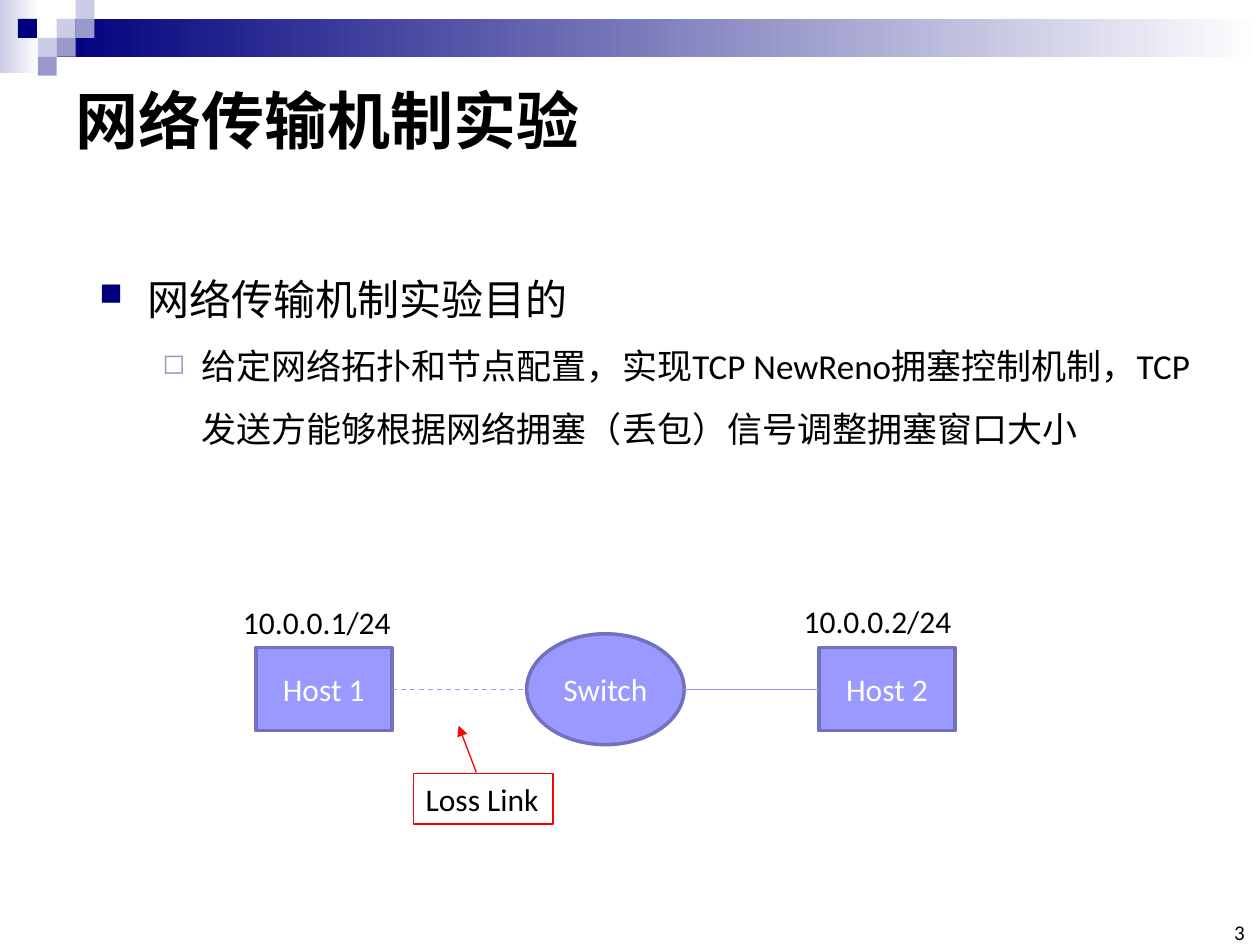
from lxml.etree import SubElement
from pptx import Presentation
from pptx.dml.color import RGBColor
from pptx.enum.dml import MSO_LINE
from pptx.enum.shapes import MSO_CONNECTOR, MSO_SHAPE
from pptx.enum.text import MSO_ANCHOR, PP_ALIGN
from pptx.oxml.ns import qn
from pptx.util import Inches, Pt

FONT = "Calibri"
COLORS = {
    "navy": "00007D", "mid": "9999CC", "pale": "CCCCE6", "white": "FFFFFF",
    "black": "000000", "node": "9999FF", "edge": "7171BD", "link": "9393FC",
    "red": "FF0000",
}

TITLE = "网络传输机制实验"
# text, level, size, hanging indent (left, first), bullet (char, color, percent)
BODY = [
    ("网络传输机制实验目的", 0, 24, (0.38, -0.38), ("■", "navy", 75)),
    ("给定网络拓扑和节点配置，实现TCP NewReno拥塞控制机制，"
     "TCP发送方能够根据网络拥塞（丢包）信号调整拥塞窗口大小",
     1, 20, (0.81, -0.31), ("◻", "mid", 80)),
]
GRADIENT_BARS = [((0, 0, 0.31, 0.58), "pale"), ((0.45, 0.15, 9.55, 0.3), "navy")]
TILE = 0.15
TILES = [  # column, row, color
    (3, 1, "pale"), (4, 0, "pale"), (4, 1, "mid"), (2, 2, "pale"),
    (0.95, 1, "navy"), (3, 2, "mid"), (2, 3, "mid"),
]
AXIS_Y = 5.47
NODES = [  # label, preset, left, width, height
    ("Host 1", MSO_SHAPE.RECTANGLE, 2.03, 1.08, 0.66),
    ("Switch", MSO_SHAPE.OVAL, 4.18, 1.25, 0.88),
    ("Host 2", MSO_SHAPE.RECTANGLE, 6.5, 1.08, 0.66),
]
ADDRESSES = [("10.0.0.1/24", 1.83, 4.74), ("10.0.0.2/24", 6.28, 4.73)]

prs = Presentation()
prs.slide_width, prs.slide_height = Inches(10), Inches(7.5)
s = prs.slides.add_slide(prs.slide_layouts[6])


def rgb(name):
    return RGBColor.from_string(COLORS[name])


def add_run(p, text, size, color="black", bold=False):
    r = p.add_run()
    r.text = text
    r.font.name, r.font.size, r.font.bold = FONT, Pt(size), bold
    r.font.color.rgb = rgb(color)


def add_shape(preset, box, fill=None, line=None, width=0.75):
    sp = s.shapes.add_shape(preset, *map(Inches, box))
    sp.shadow.inherit = False
    if fill:
        sp.fill.solid()
        sp.fill.fore_color.rgb = rgb(fill)
    else:
        sp.fill.background()
    if line:
        sp.line.color.rgb = rgb(line)
        sp.line.width = Pt(width)
    else:
        sp.line.fill.background()
    return sp


def add_text(box, wrap=True, anchor=MSO_ANCHOR.TOP):
    tf = s.shapes.add_textbox(*map(Inches, box)).text_frame
    tf.word_wrap, tf.vertical_anchor = wrap, anchor
    return tf


def add_line(start, end, color):
    cxn = s.shapes.add_connector(MSO_CONNECTOR.STRAIGHT, *map(Inches, start + end))
    cxn.line.color.rgb = rgb(color)
    cxn.line.width = Pt(0.75)
    SubElement(cxn._element.spPr, qn("a:effectLst"))
    return cxn


def set_bullet(p, indent, char, color, percent):
    pPr = p._p.get_or_add_pPr()
    pPr.set("marL", str(Inches(indent[0])))
    pPr.set("indent", str(Inches(indent[1])))
    SubElement(SubElement(pPr, qn("a:buClr")), qn("a:srgbClr"), val=COLORS[color])
    SubElement(pPr, qn("a:buSzPct"), val=str(percent * 1000))
    SubElement(pPr, qn("a:buChar"), char=char)


# Header decoration
for box, color in GRADIENT_BARS:
    bar = add_shape(MSO_SHAPE.RECTANGLE, box)
    bar.fill.gradient()
    bar.fill.gradient_angle = 0
    for stop, name, position in zip(bar.fill.gradient_stops, (color, "white"), (0, 1)):
        stop.color.rgb = rgb(name)
        stop.position = position
for col, row, color in TILES:
    add_shape(MSO_SHAPE.RECTANGLE, (col * TILE, row * TILE, TILE, TILE), color)

# Title and body
tf = add_text((0.5, 0.5, 9, 0.89), anchor=MSO_ANCHOR.MIDDLE)
add_run(tf.paragraphs[0], TITLE, 36, bold=True)

tf = add_text((0.69, 1.92, 8.97, 1.94))
for i, (text, level, size, indent, bullet) in enumerate(BODY):
    p = tf.add_paragraph() if i else tf.paragraphs[0]
    p.level, p.line_spacing = level, 1.5
    set_bullet(p, indent, *bullet)
    add_run(p, text, size)

# Network topology
nodes = {}
for label, preset, left, width, height in NODES:
    box = (left, AXIS_Y - height / 2, width, height)
    sp = nodes[label] = add_shape(preset, box, "node", "edge", 2)
    tf = sp.text_frame
    tf.vertical_anchor = MSO_ANCHOR.MIDDLE
    tf.paragraphs[0].alignment = PP_ALIGN.CENTER
    add_run(tf.paragraphs[0], label, 18, "white")

for address, left, top in ADDRESSES:
    tf = add_text((left, top, 1.39, 0.4), wrap=False)
    add_run(tf.paragraphs[0], address, 18)

lossy = add_line((3.11, AXIS_Y), (4.18, AXIS_Y), "node")
lossy.line.dash_style = MSO_LINE.DASH
lossy.begin_connect(nodes["Host 1"], 3)
link = add_line((5.43, AXIS_Y), (6.5, AXIS_Y), "link")
link.end_connect(nodes["Host 2"], 1)

# Callout for the lossy link
arrow = add_line((3.78, 6.13), (3.64, 5.76), "red")
SubElement(arrow.line._get_or_add_ln(), qn("a:tailEnd"), type="triangle")
callout = add_shape(MSO_SHAPE.RECTANGLE, (3.28, 6.14, 1.11, 0.4), line="red")
tf = callout.text_frame
tf.word_wrap, tf.vertical_anchor = False, MSO_ANCHOR.TOP
tf.paragraphs[0].alignment = PP_ALIGN.LEFT
add_run(tf.paragraphs[0], "Loss Link", 18)

# Page number
tf = add_text((9.65, 7.33, 0.23, 0.17), anchor=MSO_ANCHOR.BOTTOM)
tf.margin_left = tf.margin_right = tf.margin_top = tf.margin_bottom = 0
tf.paragraphs[0].alignment = PP_ALIGN.RIGHT
add_run(tf.paragraphs[0], "3", 12)

prs.save("out.pptx")
